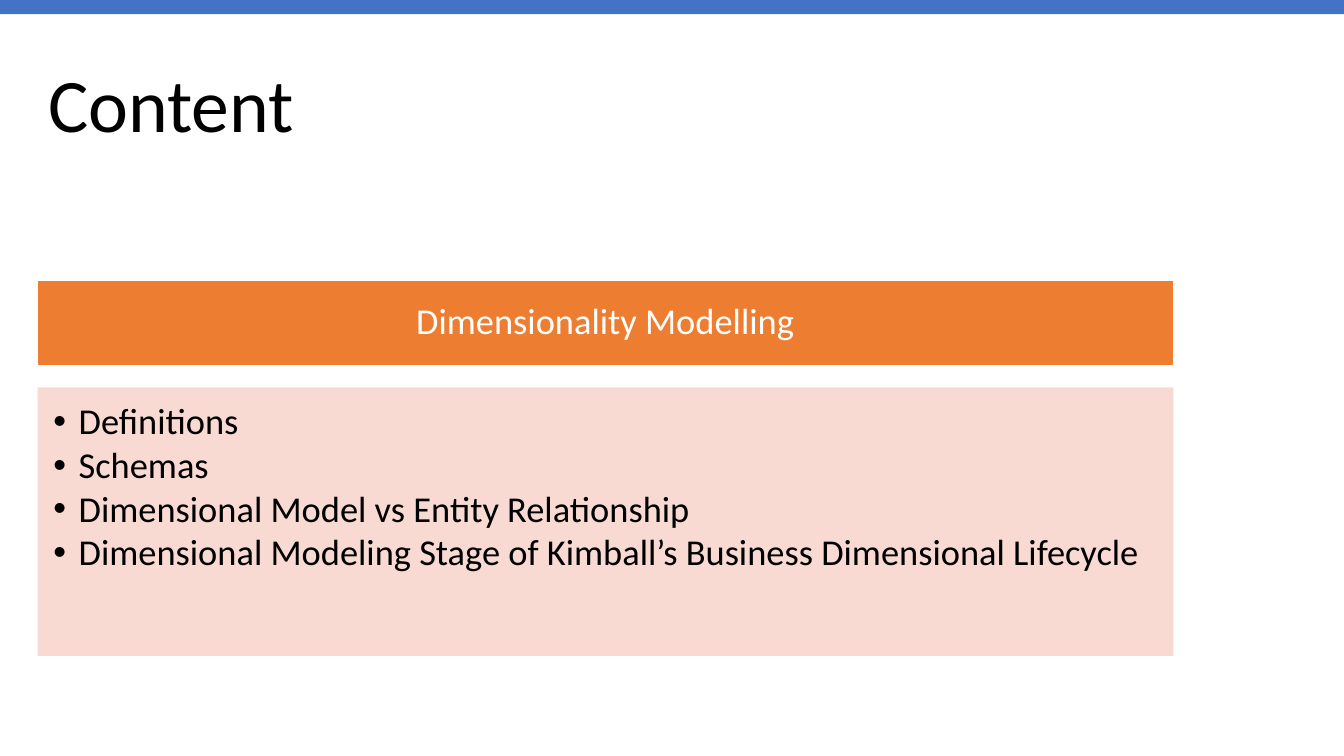
from lxml.etree import SubElement
from pptx import Presentation
from pptx.dml.color import RGBColor
from pptx.enum.shapes import MSO_SHAPE
from pptx.enum.text import MSO_ANCHOR, PP_ALIGN
from pptx.oxml.ns import qn
from pptx.util import Inches, Pt

BLACK = RGBColor(0x00, 0x00, 0x00)
WHITE = RGBColor(0xFF, 0xFF, 0xFF)
BLUE = RGBColor(0x44, 0x72, 0xC4)
ORANGE = RGBColor(0xED, 0x7D, 0x31)
PEACH = RGBColor(0xF8, 0xD7, 0xCE)

LEFT = 0.38
PANEL_WIDTH = 11.25
TOPICS = [
    "Definitions",
    "Schemas",
    "Dimensional Model vs Entity Relationship",
    "Dimensional Modeling Stage of Kimball’s Business Dimensional Lifecycle",
]


def write_text(frame, *lines, size=26, color=BLACK, align=PP_ALIGN.LEFT,
               anchor=MSO_ANCHOR.TOP, insets=(0.1, 0.05, 0.1, 0.05),
               space_after=0, bullet=None):
    frame.word_wrap = True
    frame.vertical_anchor = anchor
    (frame.margin_left, frame.margin_top,
     frame.margin_right, frame.margin_bottom) = map(Inches, insets)
    for index, line in enumerate(lines):
        paragraph = frame.add_paragraph() if index else frame.paragraphs[0]
        paragraph.alignment = align
        paragraph.line_spacing = 0.9
        paragraph.space_after = Pt(space_after)
        if bullet:
            properties = paragraph._p.get_or_add_pPr()
            properties.set("marL", str(Inches(0.25)))
            properties.set("indent", str(Inches(-0.25)))
            SubElement(properties, qn("a:buFont"), typeface="Arial")
            SubElement(properties, qn("a:buChar"), char=bullet)
        run = paragraph.add_run()
        run.text = line
        run.font.name = "Calibri"
        run.font.size = Pt(size)
        run.font.color.rgb = color


class ContentSlide:
    """Draws the parts of a content slide in one shared style."""

    def __init__(self, slide):
        self.shapes = slide.shapes

    def title(self, text):
        box = self.shapes.add_textbox(
            Inches(LEFT), Inches(0.35), Inches(12.48), Inches(1.45))
        write_text(box.text_frame, text, size=54, anchor=MSO_ANCHOR.MIDDLE)

    def band(self, left, top, width, height, fill, outlined=True, opacity=100):
        band = self.shapes.add_shape(
            MSO_SHAPE.RECTANGLE,
            Inches(left), Inches(top), Inches(width), Inches(height))
        band.shadow.inherit = False
        band.fill.solid()
        band.fill.fore_color.rgb = fill
        if outlined:
            band.line.color.rgb = fill
            band.line.width = Pt(1)
        else:
            band.line.fill.background()
        if opacity < 100:
            for color in band._element.spPr.iter(qn("a:srgbClr")):
                SubElement(color, qn("a:alpha"), val=str(opacity * 1000))
        return band.text_frame


def main():
    presentation = Presentation()
    presentation.slide_width = Inches(13.33)
    presentation.slide_height = Inches(7.5)
    content = ContentSlide(
        presentation.slides.add_slide(presentation.slide_layouts[6]))

    content.title("Content")
    content.band(0, 0, 13.33, 0.14, BLUE, outlined=False)
    heading = content.band(LEFT, 2.79, PANEL_WIDTH, 0.82, ORANGE)
    write_text(heading, "Dimensionality Modelling", color=WHITE,
               align=PP_ALIGN.CENTER, anchor=MSO_ANCHOR.MIDDLE,
               insets=(0.2, 0.12, 0.2, 0.12))
    topics = content.band(LEFT, 3.85, PANEL_WIDTH, 2.65, PEACH, opacity=90)
    write_text(topics, *TOPICS, insets=(0.15, 0.15, 0.2, 0.23),
               space_after=3.2, bullet="•")

    presentation.save("out.pptx")


if __name__ == "__main__":
    main()
